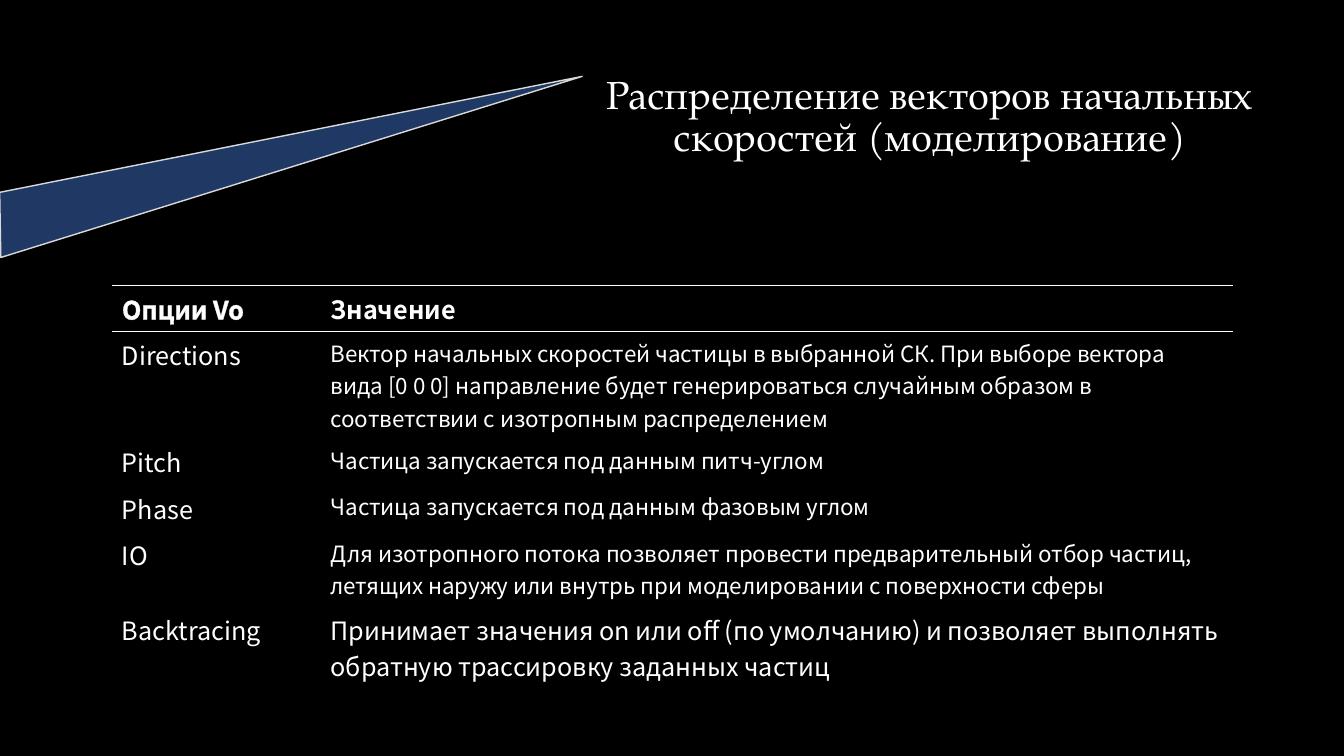
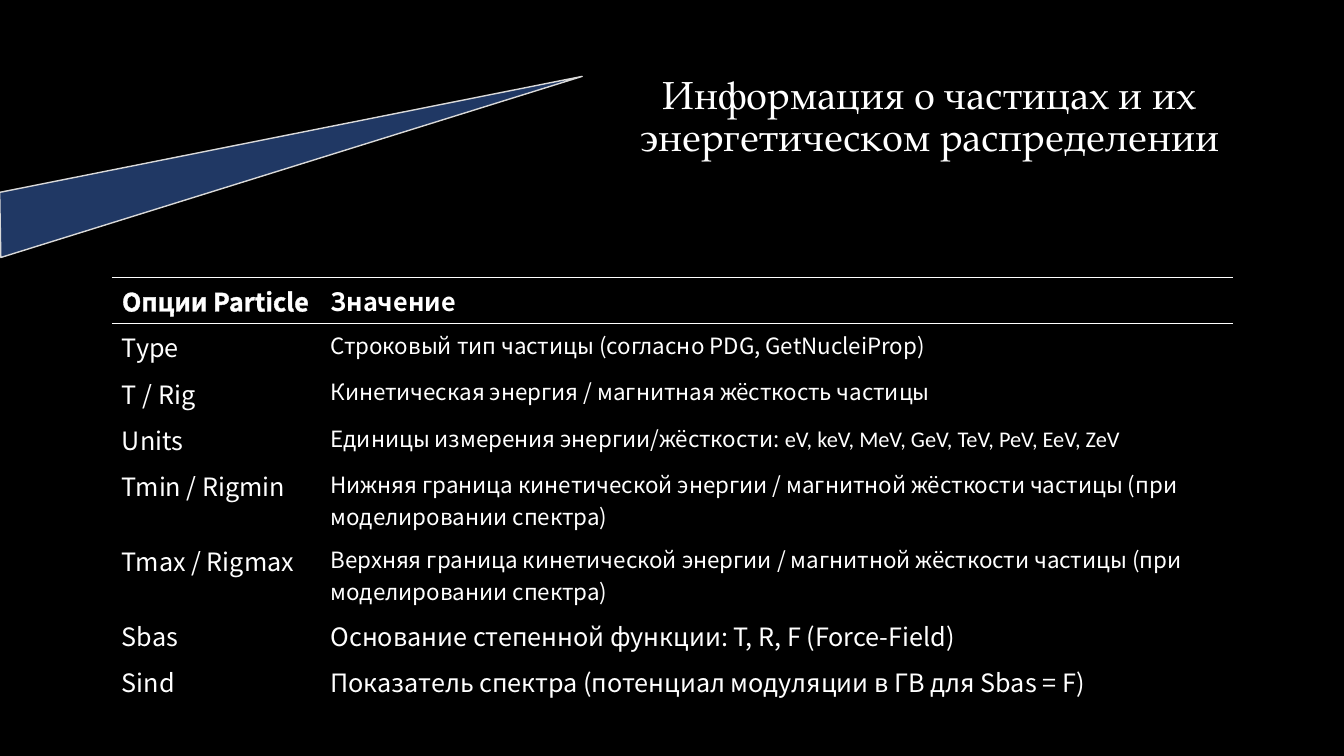
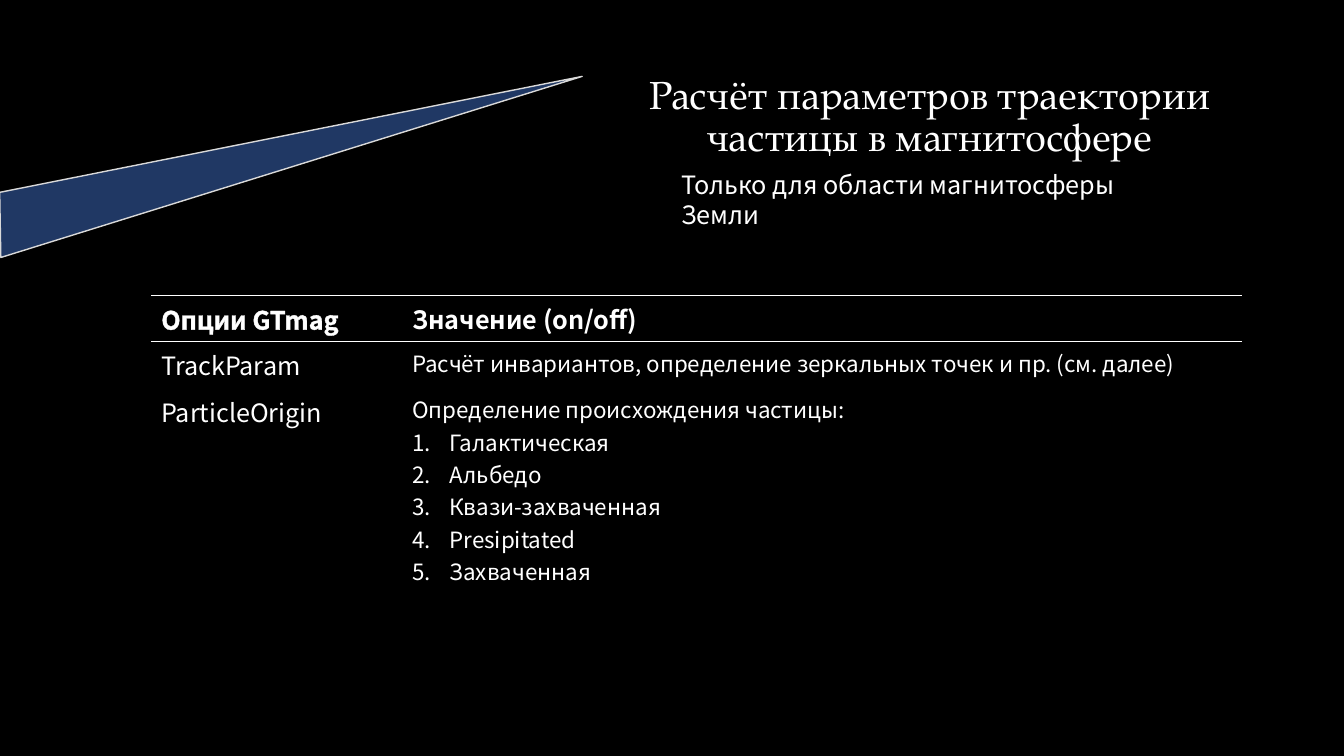
from dataclasses import dataclass

from lxml import etree
from pptx import Presentation
from pptx.dml.color import RGBColor
from pptx.enum.shapes import MSO_SHAPE
from pptx.enum.text import MSO_AUTO_SIZE, PP_ALIGN
from pptx.oxml import parse_xml
from pptx.oxml.ns import nsdecls, qn
from pptx.util import Inches, Pt

TRIANGLE = MSO_SHAPE.ISOSCELES_TRIANGLE
CENTER = PP_ALIGN.CENTER
GROW = MSO_AUTO_SIZE.SHAPE_TO_FIT_TEXT

BLACK, WHITE, NAVY, SILVER, PALE = "000000", "FFFFFF", "203864", "D9D9D9", "F2F2F2"
TITLE_FONT, BODY_FONT, UNITS_FONT = "TeX Gyre Pagella", "Noto Sans CJK SC", "Calibri"
TITLE_SIZE, OPTION_SIZE, VALUE_SIZE = 28, 18, 16
PLAIN_TABLE_STYLE = "{2D5ABB26-0587-4C30-8999-92F81FD0307C}"
LINE_HEIGHT = {OPTION_SIZE: 0.36, VALUE_SIZE: 0.32}
CELL_PADDING = 0.1
HEADER_HEIGHT = LINE_HEIGHT[OPTION_SIZE] + CELL_PADDING
NUMBER_INDENT = 0.37


@dataclass
class Option:
    name: str
    value: str
    lines: int = 1
    size: int = VALUE_SIZE
    units: str = ""
    numbered: tuple = ()

    def height(self):
        lines = self.lines + len(self.numbered)
        return max(HEADER_HEIGHT, lines * LINE_HEIGHT[self.size] + CELL_PADDING)


WIDE_GRID = {"left": 1.11, "columns": (2.07, 9.05)}

SLIDES = [
    {
        "title": "Распределение векторов начальных скоростей (моделирование)",
        "header": ("Опции Vo", "Значение"),
        "top": 2.83,
        **WIDE_GRID,
        "options": [
            Option("Directions", "Вектор начальных скоростей частицы в выбранной СК. "
                   "При выборе вектора вида [0 0 0] направление будет генерироваться "
                   "случайным образом в соответствии с изотропным распределением",
                   lines=3),
            Option("Pitch", "Частица запускается под данным питч-углом"),
            Option("Phase", "Частица запускается под данным фазовым углом"),
            Option("IO", "Для изотропного потока позволяет провести предварительный "
                   "отбор частиц, летящих наружу или внутрь при моделировании "
                   "с поверхности сферы", lines=2),
            Option("Backtracing", "Принимает значения on или off (по умолчанию) и "
                   "позволяет выполнять обратную трассировку заданных частиц",
                   lines=2, size=OPTION_SIZE),
        ],
    },
    {
        "title": "Информация о частицах и их энергетическом распределении",
        "header": ("Опции Particle", "Значение"),
        "top": 2.75,
        **WIDE_GRID,
        "options": [
            Option("Type", "Строковый тип частицы (согласно PDG, GetNucleiProp)"),
            Option("T / Rig", "Кинетическая энергия / магнитная жёсткость частицы"),
            Option("Units", "Единицы измерения энергии/жёсткости: ",
                   units="eV, keV, MeV, GeV, TeV, PeV, EeV, ZeV"),
            Option("Tmin / Rigmin", "Нижняя граница кинетической энергии / магнитной "
                   "жёсткости частицы (при моделировании спектра)", lines=2),
            Option("Tmax / Rigmax", "Верхняя граница кинетической энергии / магнитной "
                   "жёсткости частицы (при моделировании спектра)", lines=2),
            Option("Sbas", "Основание степенной функции: T, R, F (Force-Field)",
                   size=OPTION_SIZE),
            Option("Sind", "Показатель спектра (потенциал модуляции в ГВ для Sbas = F)",
                   size=OPTION_SIZE),
        ],
    },
    {
        "title": "Расчёт параметров траектории частицы в магнитосфере",
        "subtitle": "Только для области магнитосферы Земли",
        "header": ("Опции GTmag", "Значение (on/off)"),
        "top": 2.93,
        "left": 1.5,
        "columns": (2.49, 8.33),
        "options": [
            Option("TrackParam", "Расчёт инвариантов, определение зеркальных точек "
                   "и пр. (см. далее)"),
            Option("ParticleOrigin", "Определение происхождения частицы:",
                   numbered=("Галактическая", "Альбедо", "Квази-захваченная",
                             "Presipitated", "Захваченная")),
        ],
    },
]


def color(value):
    return RGBColor.from_string(value)


def add_span(para, text, size, name=BODY_FONT, bold=False):
    span = para.add_run()
    span.text = text
    font = span.font
    font.name, font.size, font.bold = name, Pt(size), bold
    font.color.rgb = color(WHITE)


def line_xml(tag, value, points):
    return parse_xml(
        f'<a:{tag} {nsdecls("a")} w="{Pt(points)}"><a:solidFill>'
        f'<a:srgbClr val="{value}"/></a:solidFill></a:{tag}>')


def add_text(page, place, text, size, name, spacing):
    box = page.shapes.add_textbox(*map(Inches, place))
    box.text_frame.word_wrap = True
    para = box.text_frame.paragraphs[0]
    para.line_spacing = spacing
    add_span(para, text, size, name)
    return box


def add_wedge(page):
    wedge = page.shapes.add_shape(TRIANGLE, *map(Inches, (-0.22, 1.05, 6.04, 0.62)))
    wedge.adjustments[0] = 0.03
    wedge.rotation = 342.7
    wedge.shadow.inherit = False
    wedge.fill.solid()
    wedge.fill.fore_color.rgb = color(NAVY)
    wedge.line.color.rgb = color(SILVER)
    wedge.line.width = Pt(1)


def number_paragraph(para):
    properties = para._p.get_or_add_pPr()
    properties.set("marL", str(Inches(NUMBER_INDENT)))
    properties.set("indent", str(-Inches(NUMBER_INDENT)))
    etree.SubElement(properties, qn("a:buAutoNum"), type="arabicPeriod")


def fill_header(table, header):
    for cell, text in zip(table.rows[0].cells, header):
        add_span(cell.text_frame.paragraphs[0], text, OPTION_SIZE, bold=True)
        for tag in ("lnT", "lnB"):
            cell._tc.get_or_add_tcPr().append(line_xml(tag, WHITE, 1))
    first = table.cell(0, 0).text_frame.paragraphs[0].runs[0]
    first.font._element.insert(0, line_xml("ln", PALE, 0.75))


def fill_option(cells, option):
    name_cell, value_cell = cells
    add_span(name_cell.text_frame.paragraphs[0], option.name, OPTION_SIZE)
    frame = value_cell.text_frame
    add_span(frame.paragraphs[0], option.value, option.size)
    if option.units:
        add_span(frame.paragraphs[0], option.units, option.size, UNITS_FONT)
    for text in option.numbered:
        para = frame.add_paragraph()
        number_paragraph(para)
        add_span(para, text, option.size)


def add_options_table(page, content):
    options, columns = content["options"], content["columns"]
    heights = [HEADER_HEIGHT] + [option.height() for option in options]
    frame = page.shapes.add_table(
        len(heights), len(columns), Inches(content["left"]), Inches(content["top"]),
        Inches(sum(columns)), Inches(sum(heights)))
    table = frame.table
    table.first_row = table.horz_banding = False
    next(table._tbl.iter(qn("a:tableStyleId"))).text = PLAIN_TABLE_STYLE
    for column, width in zip(table.columns, columns):
        column.width = Inches(width)
    for row, height in zip(table.rows, heights):
        row.height = Inches(height)
    fill_header(table, content["header"])
    for index, option in enumerate(options, start=1):
        fill_option(table.rows[index].cells, option)
    for cell in table.iter_cells():
        cell.fill.background()


def build_page(deck, content):
    page = deck.slides.add_slide(deck.slide_layouts[6])
    title = add_text(page, (5.58, 0.7, 7.29, 0.57), content["title"],
                     TITLE_SIZE, TITLE_FONT, 0.9)
    title.text_frame.paragraphs[0].alignment = CENTER
    add_wedge(page)
    add_options_table(page, content)
    if "subtitle" in content:
        subtitle = add_text(page, (6.66, 1.63, 5.14, 0.4), content["subtitle"],
                            OPTION_SIZE, BODY_FONT, 1.0)
        subtitle.text_frame.auto_size = GROW


def main():
    deck = Presentation()
    deck.slide_height = Inches(7.5)
    deck.slide_width = deck.slide_height * 16 // 9
    backdrop = deck.slide_master.background.fill
    backdrop.solid()
    backdrop.fore_color.rgb = color(BLACK)
    for content in SLIDES:
        build_page(deck, content)
    deck.save("out.pptx")


if __name__ == "__main__":
    main()
